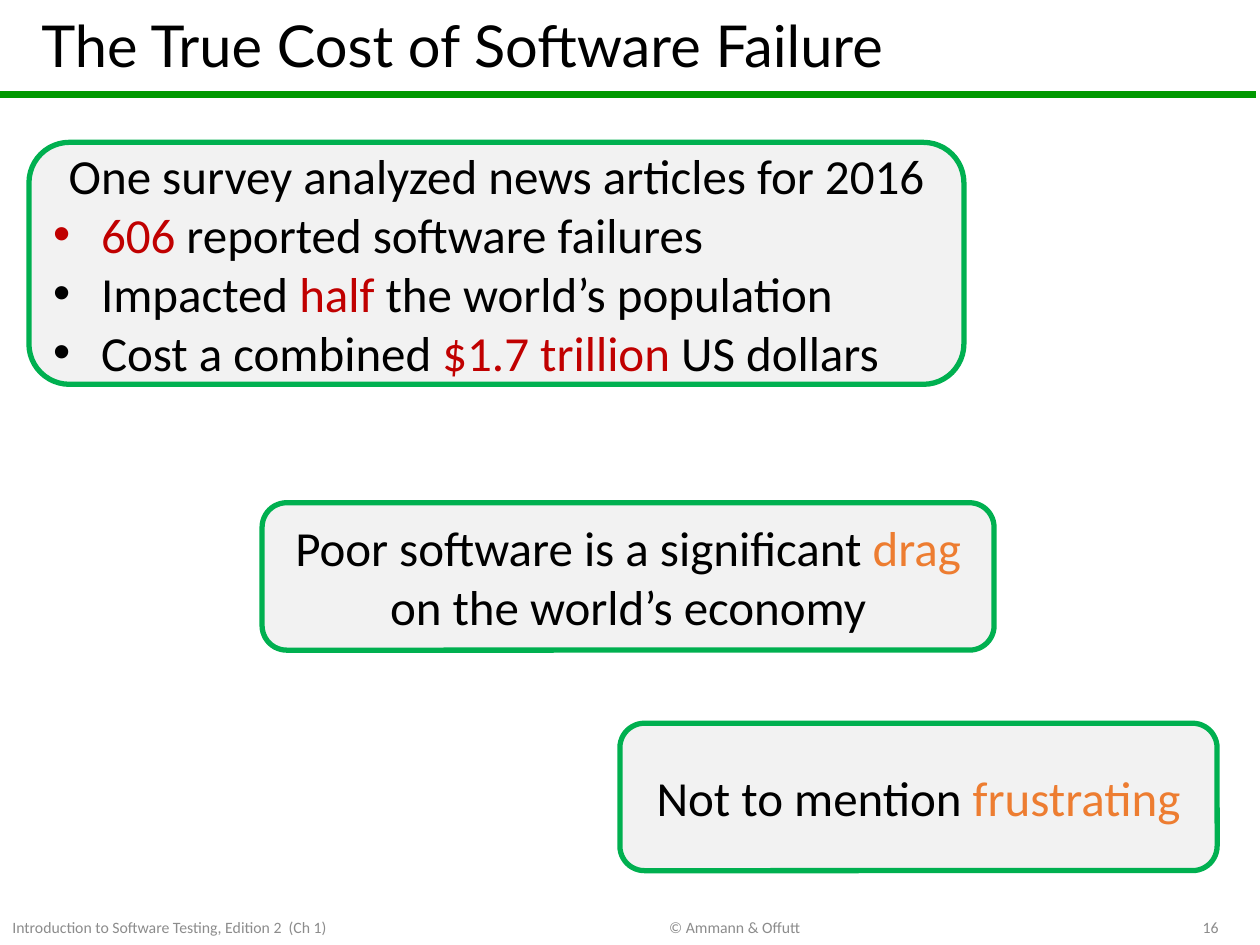
from dataclasses import dataclass

from lxml import etree
from pptx import Presentation
from pptx import util as u
from pptx.dml.color import RGBColor
from pptx.enum import shapes, text
from pptx.oxml import ns


@dataclass(frozen=True)
class Theme:
    ink: str = "000000"
    red: str = "C00000"
    orange: str = "ED7D31"
    muted: str = "8C8C8C"
    panel: str = "F2F2F2"
    border: str = "00B050"
    rule: str = "009900"
    title_font: str = "Lato"
    body_font: str = "Calibri"
    title_size: float = 33
    body_size: float = 28
    footer_size: float = 9
    border_width: float = 3
    rule_width: float = 4.5


THEME = Theme()
LEFT, CENTER, RIGHT = text.PP_ALIGN.LEFT, text.PP_ALIGN.CENTER, text.PP_ALIGN.RIGHT
HANGING_INDENT = u.Inches(0.38)

TITLE = "The True Cost of Software Failure"

# Each panel: (left, top, width, height), then its paragraphs as
# (bulleted, [(words, colour), ...]).
PANELS = [
    ((0.23, 1.13, 7.42, 1.92), [
        (False, [("One survey analyzed news articles for 2016", THEME.ink)]),
        (True, [("606", THEME.red), (" reported software failures", THEME.ink)]),
        (True, [("Impacted ", THEME.ink), ("half", THEME.red),
                (" the world’s population", THEME.ink)]),
        (True, [("Cost a combined ", THEME.ink), ("$1.7 trillion ", THEME.red),
                ("US dollars", THEME.ink)]),
    ]),
    ((2.08, 3.99, 5.81, 1.17), [
        (False, [("Poor software is a significant ", THEME.ink), ("drag", THEME.orange),
                 (" on the world’s economy", THEME.ink)]),
    ]),
    ((4.92, 5.74, 4.74, 1.17), [
        (False, [("Not to mention ", THEME.ink), ("frustrating", THEME.orange)]),
    ]),
]

# Footer parts sit side by side: (words, width, alignment).
FOOTER_TOP, FOOTER_HEIGHT = 7.21, 0.29
FOOTER = [
    ("Introduction to Software Testing, Edition 2  (Ch 1)", 2.8, LEFT),
    ("© Ammann & Offutt", 6.06, CENTER),
    ("16", 0.91, RIGHT),
]


def inches(box):
    return [u.Inches(length) for length in box]


def style(font, name, size, color):
    font.name, font.size = name, u.Pt(size)
    font.color.rgb = RGBColor.from_string(color)


def add_label(slide, box, words, align, name, size, color):
    frame = slide.shapes.add_textbox(*inches(box)).text_frame
    frame.word_wrap = True
    frame.vertical_anchor = text.MSO_ANCHOR.MIDDLE
    frame.text = words
    paragraph = frame.paragraphs[0]
    paragraph.alignment = align
    style(paragraph.runs[0].font, name, size, color)
    return paragraph


def add_bullet(paragraph):
    """Give the paragraph a hanging bullet in the colour of its first run."""
    properties = paragraph._p.get_or_add_pPr()
    properties.set("marL", str(HANGING_INDENT))
    properties.set("indent", str(-HANGING_INDENT))
    etree.SubElement(properties, ns.qn("a:buFont")).set("typeface", "Arial")
    etree.SubElement(properties, ns.qn("a:buChar")).set("char", "•")


def add_rule(slide):
    rule = slide.shapes.add_connector(
        shapes.MSO_CONNECTOR.STRAIGHT, *inches((0, 0.75, 9.97, 0.75)))
    rule.line.color.rgb = RGBColor.from_string(THEME.rule)
    rule.line.width = u.Pt(THEME.rule_width)
    etree.SubElement(rule._element.spPr, ns.qn("a:effectLst"))


def add_panel(slide, box, paragraphs):
    panel = slide.shapes.add_shape(shapes.MSO_SHAPE.ROUNDED_RECTANGLE, *inches(box))
    panel.shadow.inherit = False
    panel.fill.solid()
    panel.fill.fore_color.rgb = RGBColor.from_string(THEME.panel)
    panel.line.color.rgb = RGBColor.from_string(THEME.border)
    panel.line.width = u.Pt(THEME.border_width)
    frame = panel.text_frame
    frame.word_wrap = True
    frame.vertical_anchor = text.MSO_ANCHOR.MIDDLE
    for index, (bulleted, runs) in enumerate(paragraphs):
        paragraph = frame.add_paragraph() if index else frame.paragraphs[0]
        paragraph.alignment = LEFT if bulleted else CENTER
        if bulleted:
            add_bullet(paragraph)
        for words, color in runs:
            run = paragraph.add_run()
            run.text = words
            style(run.font, THEME.body_font, THEME.body_size, color)


def main():
    deck = Presentation()
    deck.slide_width, deck.slide_height = inches((10, 7.5))
    slide = deck.slides.add_slide(deck.slide_layouts[6])

    add_rule(slide)
    heading = add_label(slide, (0.23, 0, 9.54, 0.78), TITLE, LEFT,
                        THEME.title_font, THEME.title_size, THEME.ink)
    heading.line_spacing = 0.9

    left = 0
    for words, width, align in FOOTER:
        add_label(slide, (left, FOOTER_TOP, width, FOOTER_HEIGHT), words, align,
                  THEME.body_font, THEME.footer_size, THEME.muted)
        left += width

    for box, paragraphs in PANELS:
        add_panel(slide, box, paragraphs)

    deck.save("out.pptx")


if __name__ == "__main__":
    main()
